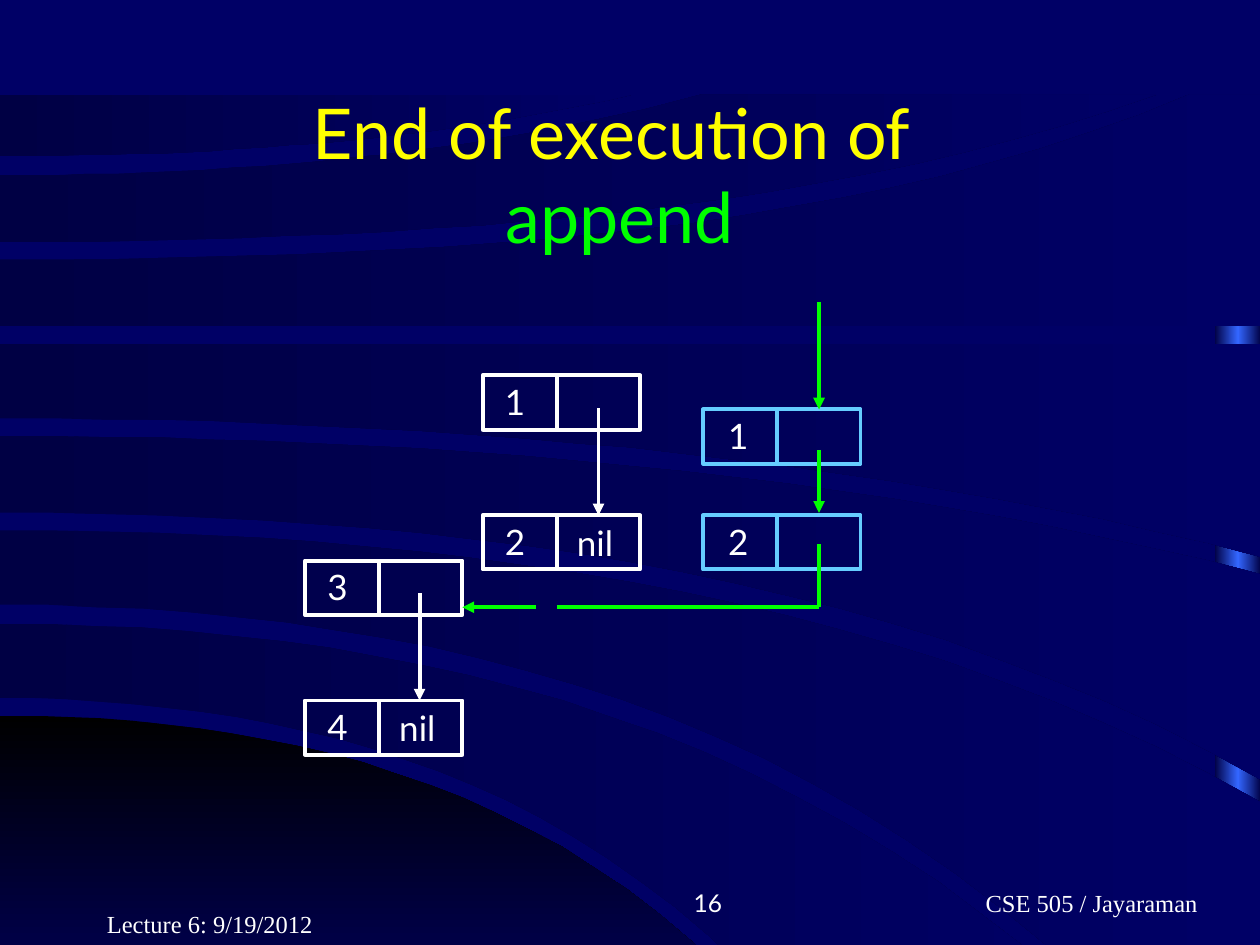
from copy import deepcopy

from lxml import etree
from pptx import Presentation
from pptx.dml.color import RGBColor
from pptx.enum.shapes import MSO_CONNECTOR, MSO_SHAPE
from pptx.enum.text import MSO_ANCHOR, MSO_AUTO_SIZE, PP_ALIGN
from pptx.oxml.ns import qn
from pptx.util import Inches, Pt

STRAIGHT = MSO_CONNECTOR.STRAIGHT
RECTANGLE = MSO_SHAPE.RECTANGLE
TOP, MIDDLE, BOTTOM = MSO_ANCHOR.TOP, MSO_ANCHOR.MIDDLE, MSO_ANCHOR.BOTTOM
FIT_SHAPE, FIT_NONE = MSO_AUTO_SIZE.SHAPE_TO_FIT_TEXT, MSO_AUTO_SIZE.NONE
LEFT, CENTER, RIGHT = PP_ALIGN.LEFT, PP_ALIGN.CENTER, PP_ALIGN.RIGHT

THEME = {
    "background": RGBColor.from_string("000066"),
    "deep": RGBColor.from_string("000044"),
    "glow": RGBColor.from_string("3366FF"),
    "black": RGBColor.from_string("000000"),
    "white": RGBColor.from_string("FFFFFF"),
    "yellow": RGBColor.from_string("FFFF00"),
    "green": RGBColor.from_string("00FF00"),
    "sky": RGBColor.from_string("66CCFF"),
    "title": {"name": "Lato", "size": Pt(40)},
    "label": {"name": "Lato", "size": Pt(20)},
    "number": {"name": "Lato", "size": Pt(14)},
    "footer": {"name": "Times New Roman", "size": Pt(14)},
    "stroke": Pt(2.25),
}

presentation = Presentation()
presentation.slide_width = Inches(10)
presentation.slide_height = Inches(7.5)
COLUMN = presentation.slide_width // 1000
ROW = presentation.slide_height // 750
slide = presentation.slides.add_slide(presentation.slide_layouts[6])
slide.background.fill.solid()
slide.background.fill.fore_color.rgb = THEME["background"]


def add_text(box, lines, style, frame_format, alignment=LEFT):
    left, top, width, height = box
    shape = slide.shapes.add_textbox(left * COLUMN, top * ROW, width * COLUMN, height * ROW)
    for name, value in frame_format.items():
        setattr(shape.text_frame, name, value)
    paragraph = shape.text_frame.paragraphs[0]
    paragraph.alignment = alignment
    for index, (text, color) in enumerate(lines):
        if index:
            paragraph.add_line_break()
        run = paragraph.add_run()
        run.text = text
        for name, value in THEME[style].items():
            setattr(run.font, name, value)
        run.font.color.rgb = THEME[color]
    return paragraph


def add_line(start, end, color, arrow=False):
    connector = slide.shapes.add_connector(
        STRAIGHT, start[0] * COLUMN, start[1] * ROW, end[0] * COLUMN, end[1] * ROW
    )
    connector.line.color.rgb = THEME[color]
    connector.line.width = THEME["stroke"]
    properties = connector._element.spPr
    if arrow:
        etree.SubElement(properties.find(qn("a:ln")), qn("a:tailEnd"), type="triangle")
    etree.SubElement(properties, qn("a:effectLst"))


STEPS = 24
DOME_EDGE = (568, 463, 683, 629, 827)
BAND_EDGES = [
    ((495, 516, 580, 894, 825), (554, 417, 643, 643, 825), []),
    ((421, 571, 476, 1001, 637), (480, 562, 582, 910, 825), [(1001, 825)]),
    ((346, 617, 383, 1001, 456), (407, 611, 469, 1001, 619), []),
    ((273, 500, 273, 1001, 273), (332, 553, 361, 1001, 442), []),
    ((206, 555, 176, 944, 75), (259, 500, 259, 1001, 259), [(1001, 75)]),
    ((139, 309, 122, 557, 75), (192, 578, 157, 918, 75), []),
    ((75, 250, 75, 502, 75), (124, 290, 110, 502, 75), []),
]
curves = []
for edge in [DOME_EDGE, *(edge for band in BAND_EDGES for edge in band[:2])]:
    start_y, middle_x, middle_y, end_x, end_y = edge
    middle_slope = (middle_y - start_y) / middle_x**2
    end_slope = (end_y - start_y) / end_x**2
    quartic = (end_slope - middle_slope) / (end_x**2 - middle_x**2)
    quadratic = middle_slope - quartic * middle_x**2
    positions = [end_x * step / STEPS for step in range(STEPS + 1)]
    curves.append([(x, start_y + quadratic * x**2 + quartic * x**4) for x in positions])

outlines = [curves[0] + [(0, DOME_EDGE[-1])]]
for upper, lower, band in zip(curves[1::2], curves[2::2], BAND_EDGES):
    outlines.append(upper + band[2] + lower[::-1])

glow = slide.shapes.add_shape(RECTANGLE, 964 * COLUMN, 77 * ROW, 37 * COLUMN, 750 * ROW)
backdrop = [(glow, ["deep", "glow", "deep"], 0)]
for index, (start, *points) in enumerate(outlines):
    builder = slide.shapes.build_freeform(*start, scale=(COLUMN, ROW))
    builder.add_line_segments(points)
    colors, angle = (["deep", "background"], 0) if index else (["black", "background"], 270)
    backdrop.append((builder.convert_to_shape(), colors, angle))

for shape, colors, angle in backdrop:
    shape.shadow.inherit = False
    shape.line.fill.background()
    shape.fill.gradient()
    shape.fill.gradient_angle = angle
    stop_list = shape._element.spPr.find(qn("a:gradFill")).find(qn("a:gsLst"))
    while len(stop_list) < len(colors):
        stop_list.append(deepcopy(stop_list[0]))
    for index, (stop, color) in enumerate(zip(shape.fill.gradient_stops, colors)):
        stop.position = index / (len(colors) - 1)
        stop.color.rgb = THEME[color]

FOOTER_FRAME = {"word_wrap": True, "auto_size": FIT_NONE, "vertical_anchor": BOTTOM}
TITLE_FRAME = {**FOOTER_FRAME, "vertical_anchor": MIDDLE}
LABEL_FRAME = {"word_wrap": False, "auto_size": FIT_SHAPE, "vertical_anchor": TOP}

add_text(
    (67, 75, 850, 125),
    [("End of execution of ", "yellow"), ("append", "green")],
    "title", TITLE_FRAME, CENTER,
)
course = add_text(
    (658, 683, 317, 50), [("\tCSE 505 / Jayaraman", "white")], "footer", FOOTER_FRAME, CENTER
)
tab_list = etree.SubElement(course._p.get_or_add_pPr(), qn("a:tabLst"))
etree.SubElement(tab_list, qn("a:tab"), pos=str(100 * COLUMN), algn="l")
add_text((375, 683, 208, 50), [("16", "white")], "number", FOOTER_FRAME, RIGHT)
add_text((75, 700, 208, 50), [("Lecture 6: 9/19/2012", "white")], "footer", FOOTER_FRAME)

CELL_WIDTH, CELL_HEIGHT, DIVIDER = 125, 43, 59
LISTS = [
    (242, 445, 111, "white", 8, [("3", ""), ("4", "nil")]),
    (383, 298, 111, "white", 8, [("1", ""), ("2", "nil")]),
    (558, 325, 84, "sky", 10, [("1", ""), ("2", "")]),
]
for left, first_top, pitch, color, indent, cells in LISTS:
    for index, (value, tail) in enumerate(cells):
        top = first_top + index * pitch
        cell = slide.shapes.add_shape(
            RECTANGLE, left * COLUMN, top * ROW, CELL_WIDTH * COLUMN, CELL_HEIGHT * ROW
        )
        cell.shadow.inherit = False
        cell.fill.background()
        cell.line.color.rgb = THEME[color]
        cell.line.width = THEME["stroke"]
        add_line((left + DIVIDER, top), (left + DIVIDER, top + CELL_HEIGHT), color)
        add_text((left + indent, top - 1, 36, 44), [(value, "white")], "label", LABEL_FRAME)
        if tail:
            add_text((left + 65, top, 51, 44), [(tail, "white")], "label", LABEL_FRAME)

POINTERS = [
    ((333, 471), (333, 556), "white", True),
    ((475, 324), (475, 409), "white", True),
    ((650, 240), (650, 325), "green", True),
    ((650, 357), (650, 407), "green", True),
    ((650, 432), (650, 482), "green", False),
    ((442, 482), (650, 482), "green", False),
    ((425, 482), (367, 482), "green", True),
]
for pointer in POINTERS:
    add_line(*pointer)

presentation.save("out.pptx")
